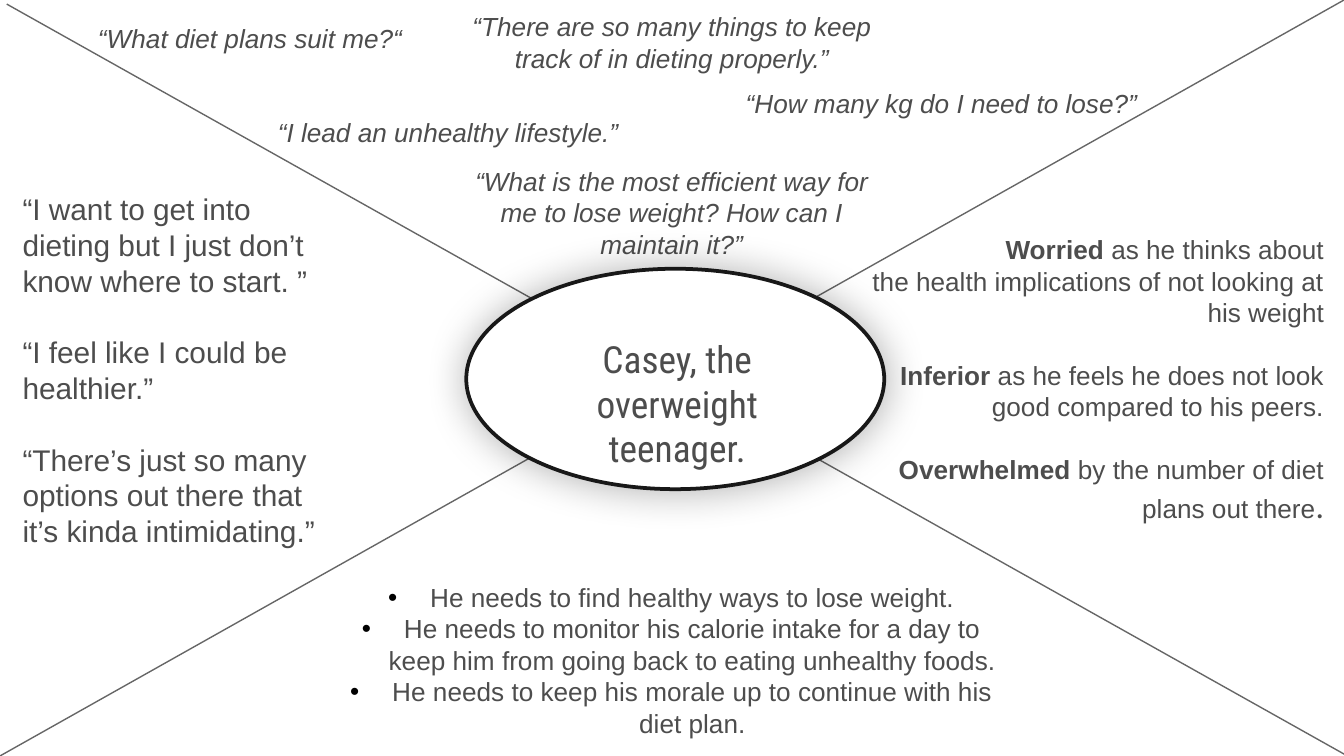
from lxml.etree import SubElement
from pptx import Presentation
from pptx.dml.color import RGBColor
from pptx.enum.shapes import MSO_CONNECTOR, MSO_SHAPE
from pptx.enum.text import MSO_ANCHOR, MSO_AUTO_SIZE, PP_ALIGN
from pptx.oxml.ns import qn
from pptx.util import Pt

W, H = 720, 405
COLORS = {"text": "4D4D4D", "rule": "666666", "outline": "181818",
          "fill": "FFFFFF", "black": "000000"}
LEFT, CENTER, RIGHT = PP_ALIGN.LEFT, PP_ALIGN.CENTER, PP_ALIGN.RIGHT

DIAGONALS = [(3.6, 2.2, 723.6, 406), (0, H, W, 0)]
THOUGHTS = [
    ("“What diet plans suit me?“", (45.4, 8.6, 195.8, 24.5), LEFT),
    ("“How many kg do I need to lose?”", (392.4, 43.2, 228.2, 24.5), LEFT),
    ("“What is the most efficient way for me to lose weight? How can I maintain it?”",
     (246.2, 85, 227.5, 74.9), CENTER),
    ("“There are so many things to keep track of in dieting properly.”",
     (241.9, 2.2, 236.2, 41), CENTER),
    ("“I lead an unhealthy lifestyle.”", (141.8, 59, 230.4, 24.5), LEFT),
]
SAYS = [
    "“I want to get into dieting but I just don’t know where to start. ”",
    "“I feel like I could be healthier.”",
    "“There’s just so many options out there that it’s kinda intimidating.”",
]
FEELS = [
    [("Worried", {"bold": True}), (" as he thinks about", {})],
    "the health implications of not looking at his weight",
    [("Inferior", {"bold": True}),
     (" as he feels he does not look good compared to his peers.", {})],
    [("Overwhelmed", {"bold": True}), (" by the number of diet plans out there", {}),
     (".", {"size": 18, "font": "Calibri"})],
]
NEEDS = [
    "He needs to find healthy ways to lose weight.",
    "He needs to monitor his calorie intake for a day to keep him from going back "
    "to eating unhealthy foods.",
    "He needs to keep his morale up to continue with his diet plan.",
]


def rgb(name):
    return RGBColor.from_string(COLORS[name])


def add_bullet(p):
    pPr = p._p.get_or_add_pPr()
    pPr.set("indent", str(-Pt(22.5)))
    color = SubElement(pPr, qn("a:buClr"))
    SubElement(color, qn("a:srgbClr"), val=COLORS["black"])
    SubElement(pPr, qn("a:buFont"), typeface="Arial")
    SubElement(pPr, qn("a:buChar"), char="•")


def add_text(s, paragraphs, box, size=14, font="Arial", italic=False, align=LEFT,
             anchor=MSO_ANCHOR.TOP, inset=7.2, grow=False, margin=0, bullets=False, gaps=()):
    tf = s.shapes.add_textbox(*map(Pt, box)).text_frame
    tf.word_wrap = True
    tf.vertical_anchor = anchor
    tf.margin_left = tf.margin_right = Pt(7.2)
    tf.margin_top = tf.margin_bottom = Pt(inset)
    tf.auto_size = MSO_AUTO_SIZE.SHAPE_TO_FIT_TEXT if grow else MSO_AUTO_SIZE.NONE
    for i, runs in enumerate(paragraphs):
        p = tf.paragraphs[0] if i == 0 else tf.add_paragraph()
        p.alignment = align
        if margin:
            p._p.get_or_add_pPr().set("marL", str(Pt(margin)))
        if i in gaps:
            p.space_before = Pt(size * 1.2)
        if bullets:
            add_bullet(p)
        for text, style in [(runs, {})] if isinstance(runs, str) else runs:
            r = p.add_run()
            r.text = text
            r.font.name = style.get("font", font)
            r.font.size = Pt(style.get("size", size))
            r.font.bold = style.get("bold", False)
            r.font.italic = italic
            r.font.color.rgb = rgb("text")


def add_diagonal(s, ends):
    line = s.shapes.add_connector(MSO_CONNECTOR.STRAIGHT, *map(Pt, ends))
    line.line.color.rgb = rgb("rule")
    line.line.width = Pt(0.75)
    SubElement(line._element.spPr, qn("a:effectLst"))


def add_hub(s, box):
    sp = s.shapes.add_shape(MSO_SHAPE.OVAL, *map(Pt, box))
    sp.fill.solid()
    sp.fill.fore_color.rgb = rgb("fill")
    sp.line.color.rgb = rgb("outline")
    sp.line.width = Pt(2)
    sp.shadow.inherit = False
    effects = sp._element.spPr.find(qn("a:effectLst"))
    glow = SubElement(effects, qn("a:outerShdw"), blurRad=str(Pt(22)), dist="0", dir="0",
                      algn="ctr", rotWithShape="0")
    color = SubElement(glow, qn("a:srgbClr"), val=COLORS["black"])
    SubElement(color, qn("a:alpha"), val="31000")


def main():
    """Build the empathy map slide."""
    prs = Presentation()
    prs.slide_width, prs.slide_height = Pt(W), Pt(H)
    s = prs.slides.add_slide(prs.slide_layouts[6])
    for ends in DIAGONALS:
        add_diagonal(s, ends)
    add_text(s, FEELS, (444.2, 118.1, 272.2, 201.6), align=RIGHT, margin=10.8, gaps=(2, 3))
    add_text(s, SAYS, (5, 106.6, 186.5, 182.9), size=16, anchor=MSO_ANCHOR.MIDDLE, gaps=(1, 2))
    add_text(s, NEEDS, (172.8, 312.5, 373.7, 82.1), align=CENTER, anchor=MSO_ANCHOR.MIDDLE,
             margin=22.5, bullets=True)
    for text, box, align in THOUGHTS:
        add_text(s, [text], box, italic=True, align=align, inset=3.6, grow=True)
    add_hub(s, (249.8, 144, 223.9, 118.1))
    add_text(s, ["Casey, the overweight teenager."], (274.3, 176.4, 177.1, 55.4), size=20,
             font="Roboto Condensed", align=CENTER, inset=3.6, grow=True)
    prs.save("out.pptx")


if __name__ == "__main__":
    main()
